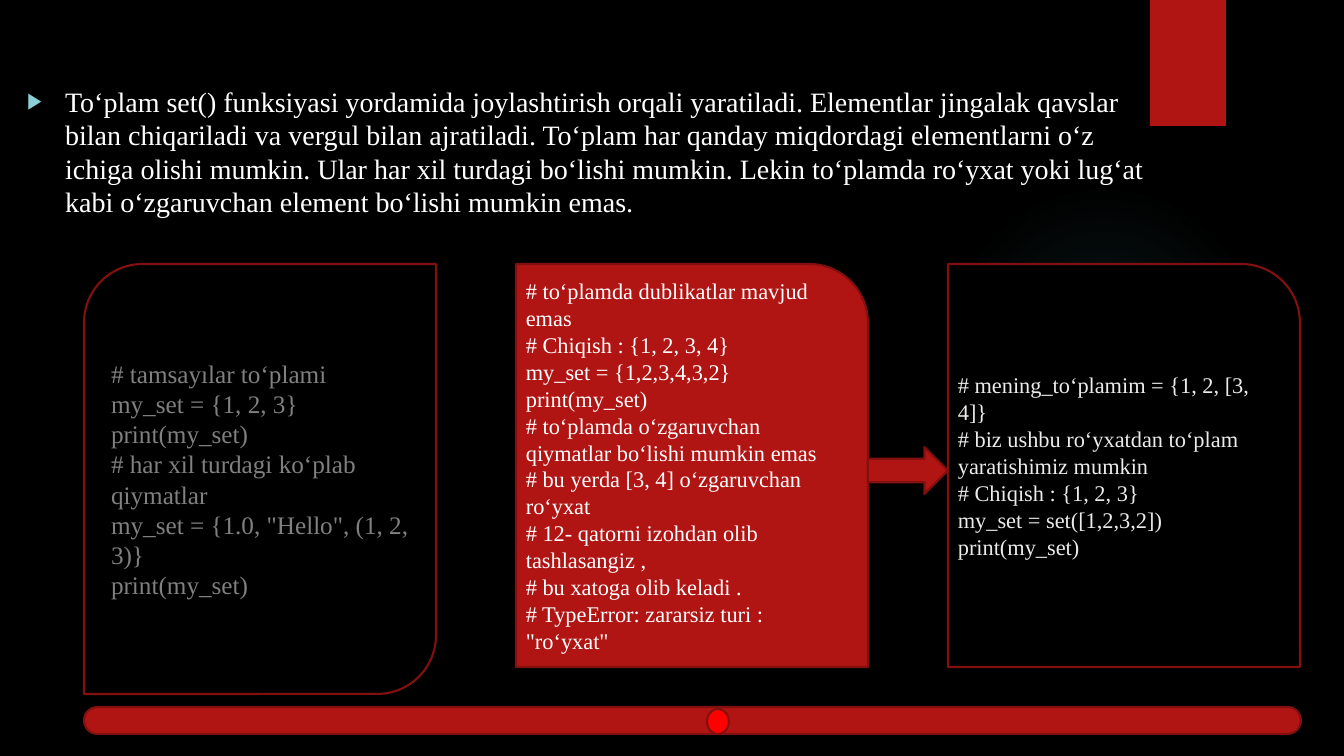
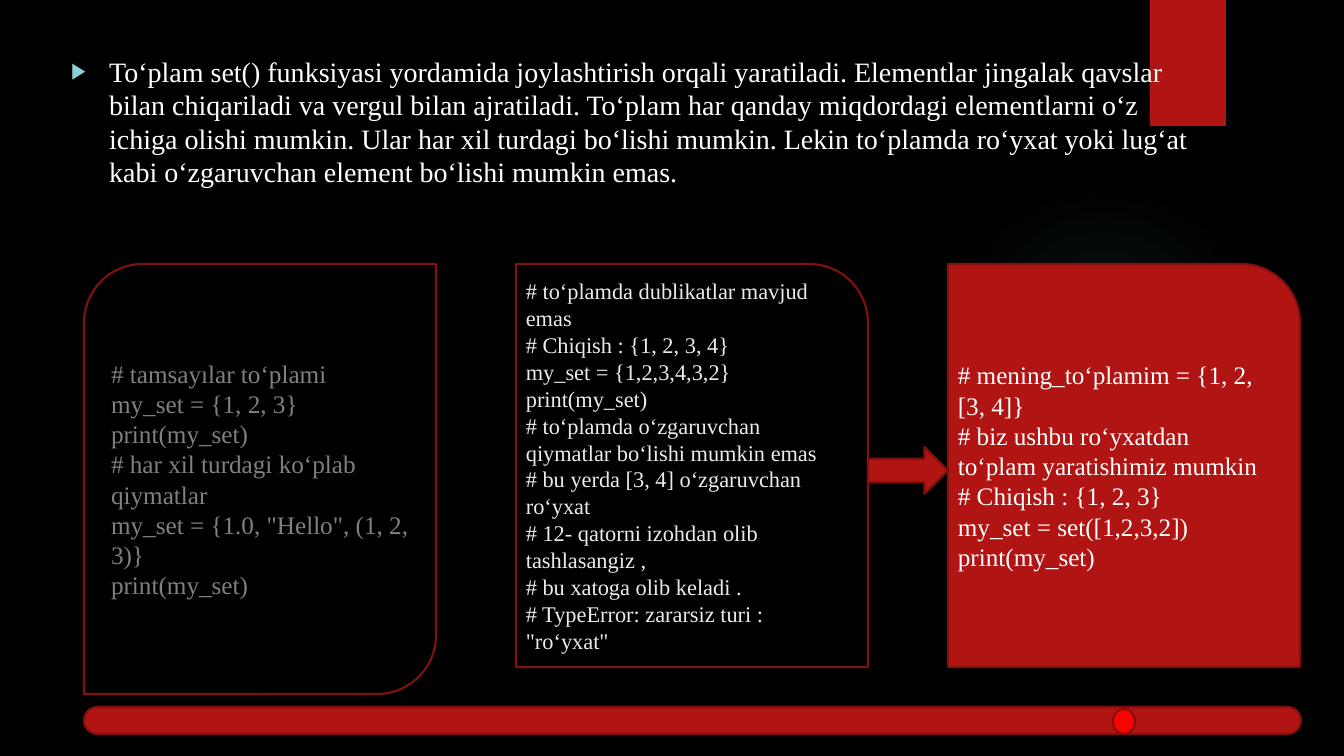
import pptx
import pptx.util
import pptx.oxml
import pptx.oxml.ns
import pptx.dml.color
import pptx.enum.shapes
import pptx.enum.text

SCALE = 12192000 / 1344
FONT = "Times New Roman"
COLORS = {
    "background": "000000",
    "red": "B01513",
    "outline": "82100E",
    "dot": "FF0000",
    "glow": "50B9C1",
    "bullet": "8AD0D6",
    "white": "FFFFFF",
    "light": "EBEBEB",
    "dimmed": "808080",
}
SHAPES = pptx.enum.shapes.MSO_SHAPE
NAMESPACE = pptx.oxml.ns.nsdecls("a")


def add_block(slide, kind, box, fill, outline=True):
    shape = slide.shapes.add_shape(kind, *[round(length * SCALE) for length in box])
    shape.shadow.inherit = False
    shape.fill.solid()
    shape.fill.fore_color.rgb = pptx.dml.color.RGBColor.from_string(COLORS[fill])
    if outline:
        shape.line.color.rgb = pptx.dml.color.RGBColor.from_string(COLORS["outline"])
        shape.line.width = pptx.util.Pt(1.5)
    else:
        shape.line.fill.background()
    return shape


def write_text(shape, lines, size, color, frame_format):
    frame = shape.text_frame
    for name, value in frame_format.items():
        setattr(frame, name, value)
    frame.text = "\n".join(lines)
    for paragraph in frame.paragraphs:
        paragraph.alignment = pptx.enum.text.PP_ALIGN.LEFT
        paragraph.space_before = pptx.util.Pt(0)
        for run in paragraph.runs:
            for name, value in {"name": FONT, "size": pptx.util.Pt(size)}.items():
                setattr(run.font, name, value)
            run.font.color.rgb = pptx.dml.color.RGBColor.from_string(COLORS[color])


INTRO = (
    "To‘plam set() funksiyasi yordamida joylashtirish orqali yaratiladi. "
    "Elementlar jingalak qavslar bilan chiqariladi va vergul bilan ajratiladi. "
    "To‘plam har qanday miqdordagi elementlarni o‘z ichiga olishi mumkin. "
    "Ular har xil turdagi bo‘lishi mumkin. Lekin to‘plamda ro‘yxat yoki lug‘at "
    "kabi o‘zgaruvchan element bo‘lishi mumkin emas."
)
CARDS = [
    {
        "kind": SHAPES.ROUND_2_DIAG_RECTANGLE,
        "height": 430,
        "color": "dimmed",
        "lines": [
            "# tamsayılar toʻplami",
            "my_set = {1, 2, 3} print(my_set)",
            "# har xil turdagi ko‘plab qiymatlar",
            'my_set = {1.0, "Hello", (1, 2, 3)}',
            "print(my_set)",
        ],
    },
    {
        "kind": SHAPES.ROUND_1_RECTANGLE,
        "height": 403,
        "color": "light",
        "lines": [
            "# to‘plamda dublikatlar mavjud emas",
            "# Chiqish : {1, 2, 3, 4}",
            "my_set = {1,2,3,4,3,2} print(my_set)",
            "# toʻplamda oʻzgaruvchan qiymatlar boʻlishi mumkin emas",
            "# bu yerda [3, 4] oʻzgaruvchan roʻyxat",
            "# 12- qatorni izohdan olib tashlasangiz ,",
            "# bu xatoga olib keladi .",
            '# TypeError: zararsiz turi : "ro‘yxat"',
        ],
    },
    {
        "kind": SHAPES.ROUND_1_RECTANGLE,
        "height": 403,
        "color": "light",
        "lines": [
            "# mening_to‘plamim = {1, 2, [3, 4]}",
            "# biz ushbu ro‘yxatdan to‘plam yaratishimiz mumkin",
            "# Chiqish : {1, 2, 3}",
            "my_set = set([1,2,3,2]) print(my_set)",
        ],
    },
]
CARD_LEFT, CARD_TOP, CARD_WIDTH, CARD_STEP = 84, 264, 352, 432
SLIDES = [
    {"intro": (17, 79, 1163, 145), "active": 1, "sizes": (18, 16, 16), "dot": 707},
    {"intro": (61, 49, 1163, 175), "active": 2, "sizes": (18, 16, 18), "dot": 1113},
]
INTRO_FORMAT = {
    "word_wrap": True,
    "auto_size": pptx.enum.text.MSO_AUTO_SIZE.NONE,
    "vertical_anchor": pptx.enum.text.MSO_ANCHOR.TOP,
}
CARD_FORMAT = {
    "word_wrap": True,
    "vertical_anchor": pptx.enum.text.MSO_ANCHOR.MIDDLE,
}
BULLET = [
    f'<a:buClr {NAMESPACE}><a:srgbClr val="{COLORS["bullet"]}"/></a:buClr>',
    f'<a:buSzPct {NAMESPACE} val="80000"/>',
    f'<a:buFont {NAMESPACE} typeface="{FONT}"/>',
    f'<a:buChar {NAMESPACE} char="▶"/>',
]
GLOW_STOPS = "".join(
    f'<a:gs pos="{position}"><a:srgbClr val="{COLORS["glow"]}">'
    f'<a:alpha val="{alpha}"/></a:srgbClr></a:gs>'
    for position, alpha in [(0, 7000), (36000, 6000), (69000, 0)]
)
GLOW_FILL = (
    f'<a:gradFill {NAMESPACE} rotWithShape="1"><a:gsLst>{GLOW_STOPS}</a:gsLst>'
    '<a:path path="circle"><a:fillToRect l="50000" t="50000" r="50000" b="50000"/>'
    "</a:path></a:gradFill>"
)

presentation = pptx.Presentation()
presentation.slide_width = round(1344 * SCALE)
presentation.slide_height = round(756 * SCALE)
background = presentation.slide_master.background.fill
background.solid()
background.fore_color.rgb = pptx.dml.color.RGBColor.from_string(COLORS["background"])
layout = presentation.slide_layouts[1]
slides = [presentation.slides.add_slide(layout) for content in SLIDES]

glow = add_block(slides[0], SHAPES.OVAL, (949, 184, 310, 310), "glow", False)
solid_fill = glow.element.spPr.find(pptx.oxml.ns.qn("a:solidFill"))
glow.element.spPr.replace(solid_fill, pptx.oxml.parse_xml(GLOW_FILL))
ribbon = add_block(slides[0], SHAPES.RECTANGLE, (1150, 0, 76, 126), "red", False)
for shape in (glow, ribbon):
    layout.shapes.element.append(shape.element)

for slide, content in zip(slides, SLIDES):
    title = slide.shapes.title.element
    title.getparent().remove(title)

    intro = slide.placeholders[1]
    for name, length in zip(("left", "top", "width", "height"), content["intro"]):
        setattr(intro, name, round(length * SCALE))
    write_text(intro, [INTRO], 20, "white", INTRO_FORMAT)
    properties = intro.text_frame.paragraphs[0]._p.get_or_add_pPr()
    properties.set("marL", str(round(38 * SCALE)))
    properties.set("indent", str(round(-38 * SCALE)))
    for element in BULLET:
        properties.append(pptx.oxml.parse_xml(element))

    for index, card in enumerate(CARDS):
        active = index == content["active"]
        box = (CARD_LEFT + index * CARD_STEP, CARD_TOP, CARD_WIDTH, card["height"])
        shape = add_block(slide, card["kind"], box, "red" if active else "background")
        color = "white" if active else card["color"]
        write_text(shape, card["lines"], content["sizes"][index], color, CARD_FORMAT)

    add_block(slide, SHAPES.RIGHT_ARROW, (868, 447, 80, 47), "red")
    bar = add_block(slide, SHAPES.ROUNDED_RECTANGLE, (84, 707, 1217, 27), "red")
    bar.adjustments[0] = 0.5
    add_block(slide, SHAPES.OVAL, (content["dot"], 709, 22, 25), "dot")

presentation.save("out.pptx")
